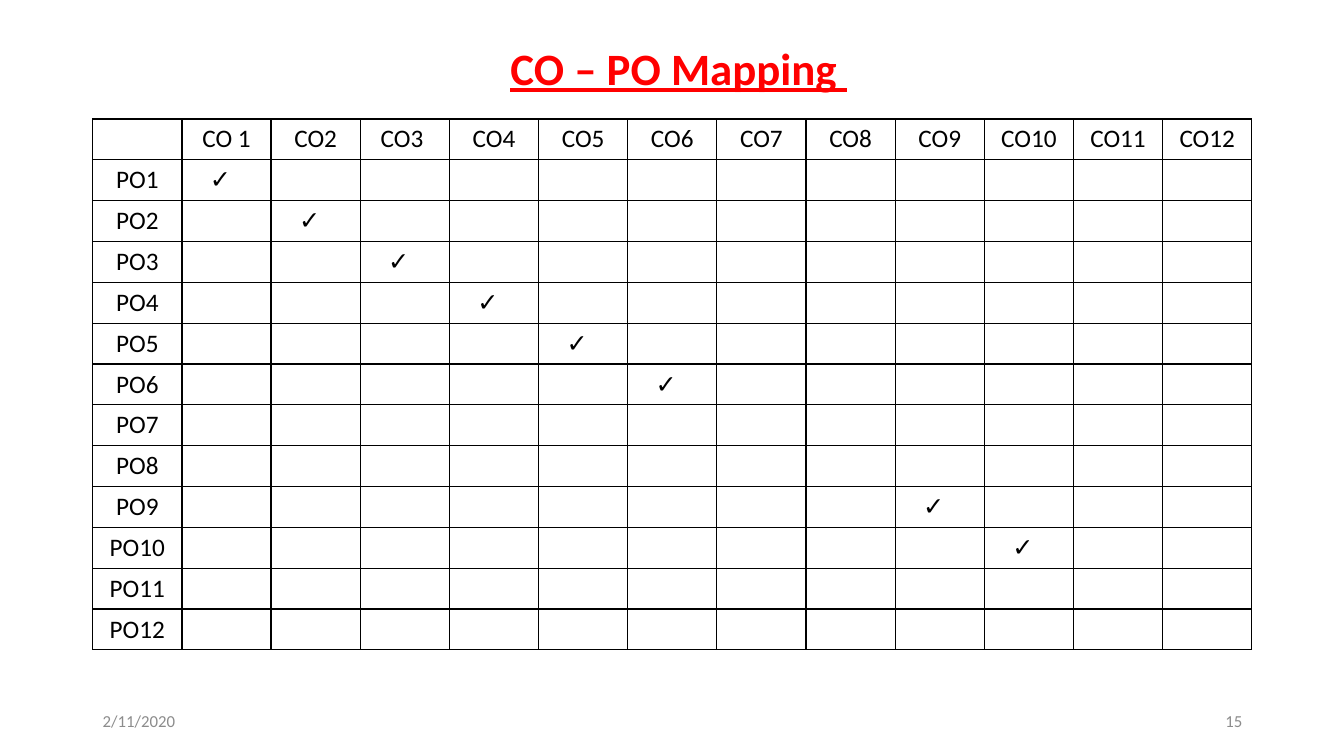
import pptx
import pptx.dml.color
import pptx.enum.text
import pptx.oxml
import pptx.oxml.ns
import pptx.util

INK = {"title": "FF0000", "text": "000000", "foot": "8C8C8C", "line": "000000"}
ALIGN = pptx.enum.text.PP_ALIGN
MIDDLE = pptx.enum.text.MSO_ANCHOR.MIDDLE
COUNT = 12
TICKS = {1, 2, 3, 4, 5, 6, 9, 10}


class Deck:
    """Hold the style, the grid and the current slide."""

    font = "Calibri"
    left, top = 0.92, 1.18
    col, row = 11.5 / (COUNT + 1), 5.27 / (COUNT + 1)

    def __init__(self):
        """Open a deck with one blank slide."""
        self.deck = pptx.Presentation()
        self.deck.slide_width = pptx.util.Inches(13.33)
        self.deck.slide_height = pptx.util.Inches(7.5)
        self.slide = self.deck.slides.add_slide(self.deck.slide_layouts[6])

    def box(self, col, row, wide, high):
        """Turn grid units into left, top, width and height."""
        sizes = (self.left + col * self.col, self.top + row * self.row,
                 wide * self.col, high * self.row)
        return [pptx.util.Inches(size) for size in sizes]

    def label(self, frame, words, size, ink, align, bold=False):
        """Add one styled run to the first paragraph."""
        para = frame.paragraphs[0]
        para.alignment = align
        run = para.add_run()
        run.text = words
        font = run.font
        font.name, font.size = self.font, pptx.util.Pt(size)
        font.bold = font.underline = bold
        font.color.rgb = pptx.dml.color.RGBColor.from_string(INK[ink])

    def text(self, place, words, size, ink, align, bold=False):
        """Add a text box at a grid place."""
        frame = self.slide.shapes.add_textbox(*self.box(*place)).text_frame
        frame.word_wrap = True
        frame.vertical_anchor = MIDDLE
        self.label(frame, words, size, ink, align, bold)

    def edge(self, cell):
        """Draw the four borders of a cell."""
        props = cell._tc.get_or_add_tcPr()
        space = pptx.oxml.ns.nsdecls("a")
        for spot, side in enumerate("LRTB"):
            props.insert(spot, pptx.oxml.parse_xml(
                f'<a:ln{side} {space} w="12700"><a:solidFill>'
                f'<a:srgbClr val="{INK["line"]}"/></a:solidFill></a:ln{side}>'))

    def table(self, rows):
        """Add a bordered table that fills the grid."""
        wide, high = len(rows[0]), len(rows)
        place = self.box(0, 0, wide, high)
        table = self.slide.shapes.add_table(high, wide, *place).table
        table.first_row = table.horz_banding = False
        for col in table.columns:
            col.width = pptx.util.Inches(self.col)
        for line, words in zip(table.rows, rows):
            line.height = pptx.util.Inches(self.row)
            for cell, word in zip(line.cells, words):
                cell.fill.background()
                cell.vertical_anchor = MIDDLE
                cell.margin_top = cell.margin_bottom = pptx.util.Inches(0.02)
                if word == "✓":
                    cell.margin_right = pptx.util.Inches(0.22)
                if word:
                    self.label(cell.text_frame, word, 18, "text", ALIGN.CENTER)
                self.edge(cell)


def main():
    """Build the mapping slide."""
    deck = Deck()
    span = range(1, COUNT + 1)
    head = ["", "CO 1", "CO2", "CO3 "] + [f"CO{n}" for n in span[3:]]
    body = [[f"PO{po}"] + ["✓" if po == co and po in TICKS else "" for co in span]
            for po in span]
    deck.table([head] + body)
    deck.text((0, 14.23, 3.39, 0.99), "2/11/2020", 12, "foot", ALIGN.LEFT)
    deck.text((9.61, 14.23, 3.39, 0.99), "15", 12, "foot", ALIGN.RIGHT)
    deck.text((0, -2.05, 13.14, 1.58), "CO – PO Mapping ", 32, "title",
              ALIGN.CENTER, True)
    deck.deck.save("out.pptx")


if __name__ == "__main__":
    main()
